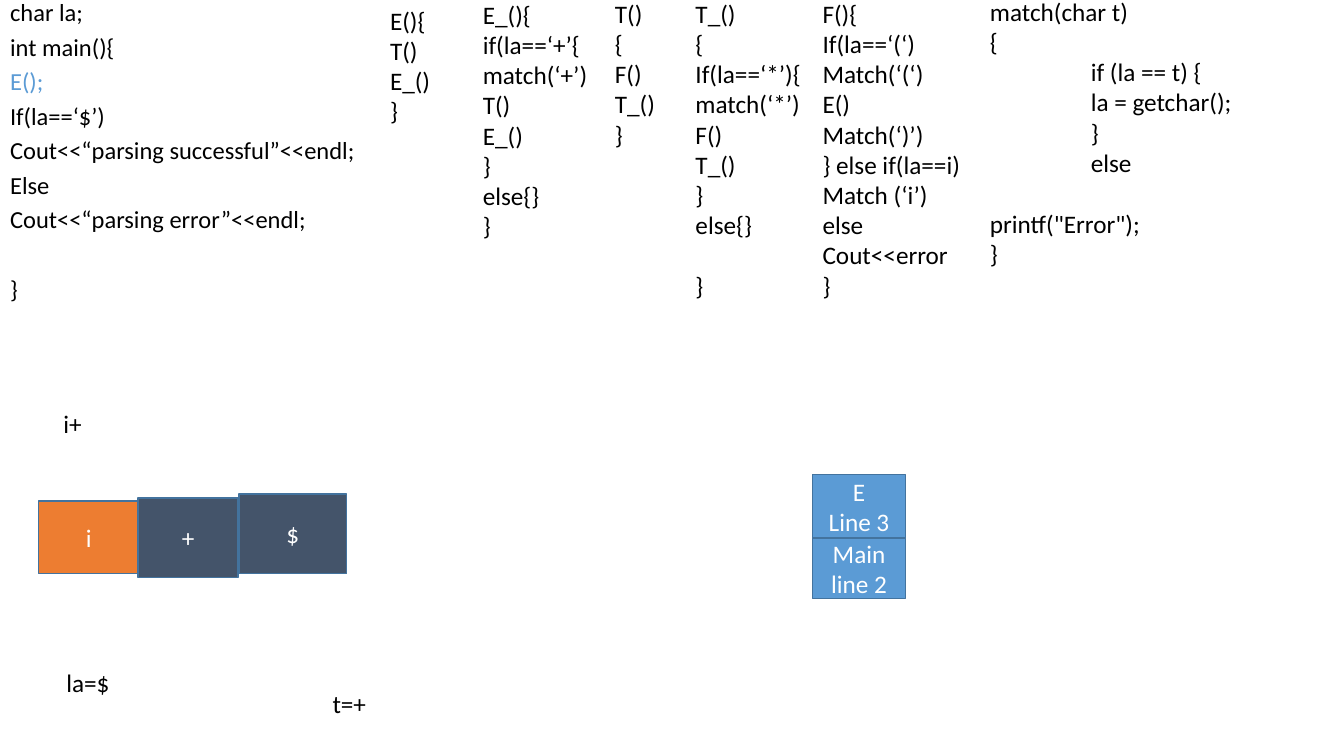
from pptx import Presentation
from pptx.dml.color import RGBColor
from pptx.enum.shapes import MSO_SHAPE
from pptx.enum.text import MSO_ANCHOR, MSO_AUTO_SIZE, PP_ALIGN
from pptx.oxml.ns import qn
from pptx.util import Inches, Pt
from lxml import etree

BLACK, WHITE, BLUE, ORANGE, SLATE, EDGE = (
    "000000", "FFFFFF", "5B9BD5", "ED7D31", "44546A", "43739E")
LINE = 0.3025  # height of one 18 pt line, inches
GAP = 22       # space left open by one 18 pt line, points


def paint(hue):
    return RGBColor.from_string(hue)


def style(para, size=18, hue=BLACK):
    for run in para.runs:
        run.font.name = "Calibri"
        run.font.size = Pt(size)
        run.font.color.rgb = paint(hue)


# Main program, in the body placeholder
def add_main(slide, box, lines):
    body = slide.placeholders[1]
    body.left, body.top, body.width, body.height = map(Inches, box)
    frame = body.text_frame
    frame.text = "\n".join(lines)
    frame.auto_size = MSO_AUTO_SIZE.NONE
    for para in frame.paragraphs:
        para.line_spacing = 0.7
        para.space_before = Pt(10)
        para.space_after = Pt(0)
        props = para._p.get_or_add_pPr()
        props.set("marL", "0")
        props.set("indent", "0")
        etree.SubElement(props, qn("a:buNone"))
        style(para, 17.5, BLUE if para.text == "E();" else BLACK)
    frame.paragraphs[-1].space_before = Pt(35)


# Plain text: indents and gaps are given by line number
def add_code(slide, left, top, width, lines, wrap=False, indents=(), gaps=()):
    high = LINE * (len(lines) + len(gaps)) + 0.1
    box = slide.shapes.add_textbox(*map(Inches, (left, top, width, high)))
    frame = box.text_frame
    frame.word_wrap = wrap
    frame.text = "\n".join(lines)
    for row, para in enumerate(frame.paragraphs):
        style(para)
        if row in indents:
            para._p.get_or_add_pPr().set("marL", str(Inches(1)))
        if row in gaps:
            para.space_before = Pt(GAP)


# Filled cell of the input tape or the call stack
def add_cell(slide, box, text, fill):
    cell = slide.shapes.add_shape(MSO_SHAPE.RECTANGLE, *map(Inches, box))
    cell.shadow.inherit = False
    cell.fill.solid()
    cell.fill.fore_color.rgb = paint(fill)
    cell.line.color.rgb = paint(EDGE)
    cell.line.width = Pt(1)
    frame = cell.text_frame
    frame.word_wrap = True
    frame.vertical_anchor = MSO_ANCHOR.MIDDLE
    frame.text = text
    for para in frame.paragraphs:
        para.alignment = PP_ALIGN.CENTER
        style(para, hue=WHITE)


# Input tape
def add_tape(slide, left, top):
    for dx, dy, width, high, text, fill in (
            (0, 0.07, 1, 0.72, "i", ORANGE),
            (0.99, 0.04, 0.99, 0.79, "+", SLATE),
            (1.99, 0, 1.07, 0.79, "$", SLATE)):
        add_cell(slide, (left + dx, top + dy, width, high), text, fill)


# Call stack, top frame first
def add_stack(slide, left, top, width):
    for text, high in (("E\nLine 3", 0.63), ("Main line 2", 0.6)):
        add_cell(slide, (left, top, width, high), text, BLUE)
        top += high


def main():
    deck = Presentation()
    deck.slide_width, deck.slide_height = Inches(13.33), Inches(7.5)
    slide = deck.slides.add_slide(deck.slide_layouts[1])
    title = slide.shapes.title._element
    title.getparent().remove(title)

    add_main(slide, (0, 0, 4.45, 3.14), [
        "char la;", "int main(){", "E();", "If(la==‘$’)",
        "Cout<<“parsing successful”<<endl;", "Else",
        "Cout<<“parsing error”<<endl;", "}"])

    # Parser functions
    add_code(slide, 3.77, 0, 1.37, ["E(){", "T()", "E_()", "}"], wrap=True)
    add_code(slide, 4.69, -0.06, 1.25, [
        "E_(){", "if(la==‘+’{", "match(‘+’)", "T()", "E_()", "}",
        "else{}", "}"])
    add_code(slide, 6, -0.07, 0.61, ["T()", "{", "F()", "T_()", "}"])
    add_code(slide, 6.8, -0.07, 1.26, [
        "T_()", "{", "If(la==‘*’){", "match(‘*’)", "F()", "T_()", "}",
        "else{}", "}"], gaps=(8,))
    add_code(slide, 8.06, -0.07, 1.58, [
        "F(){", "If(la==‘(‘)", "Match(‘(‘)", "E()", "Match(‘)’)",
        "} else if(la==i)", "Match (‘i’)", "else", "Cout<<error", "}"])
    add_code(slide, 9.72, -0.09, 3.25, [
        "match(char t)", "{", "if (la == t) {", "la = getchar();", "}",
        "else", "printf(\"Error\");", "}"],
        wrap=True, indents=range(2, 6), gaps=(6,))

    # Parser state
    add_code(slide, 0.53, 4, 0.39, ["i+"])
    add_tape(slide, 0.38, 4.9)
    add_code(slide, 0.56, 6.57, 0.63, ["la=$"])
    add_code(slide, 3.2, 6.78, 0.54, ["t=+"])
    add_stack(slide, 8.06, 4.71, 0.92)

    deck.save("out.pptx")


if __name__ == "__main__":
    main()
